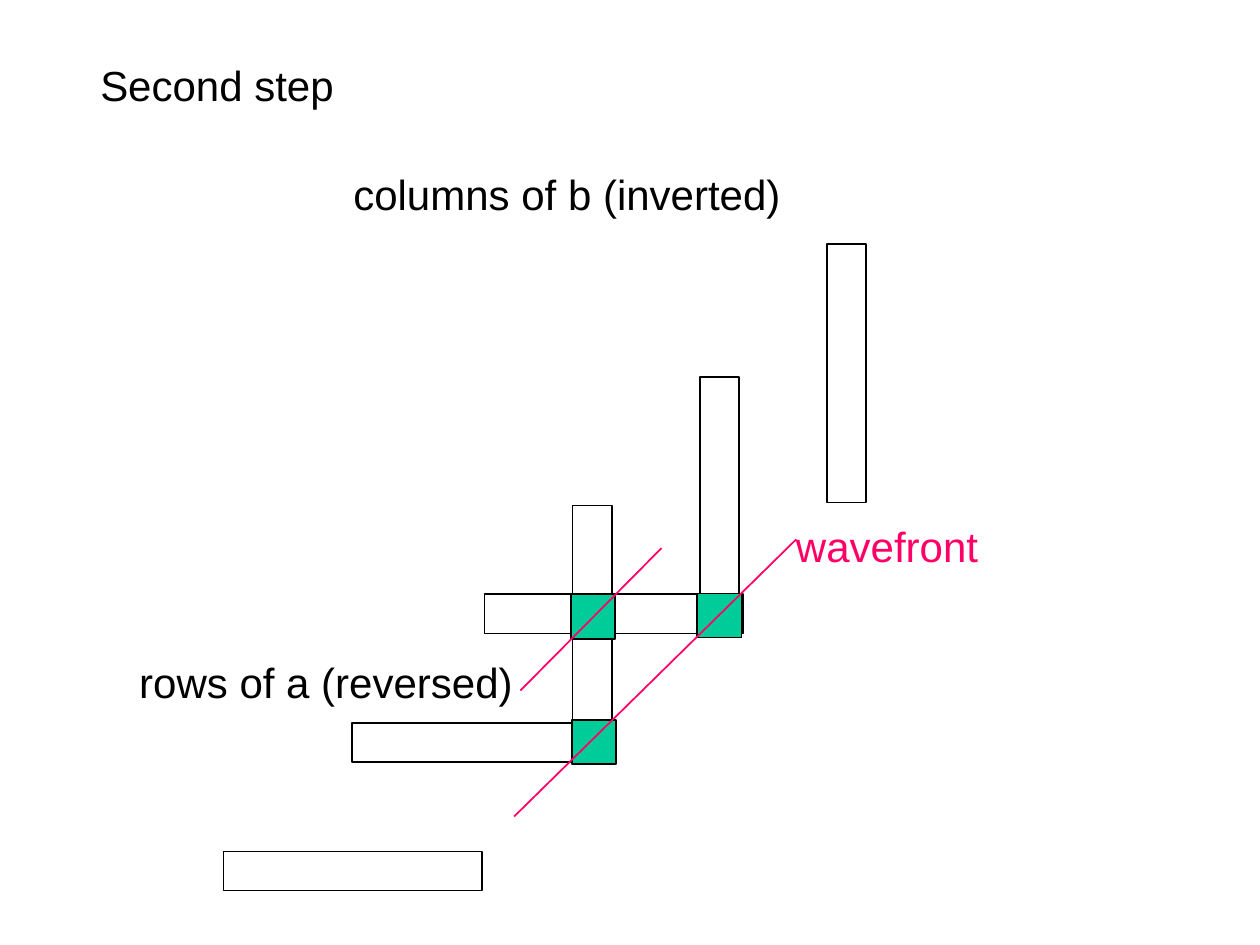
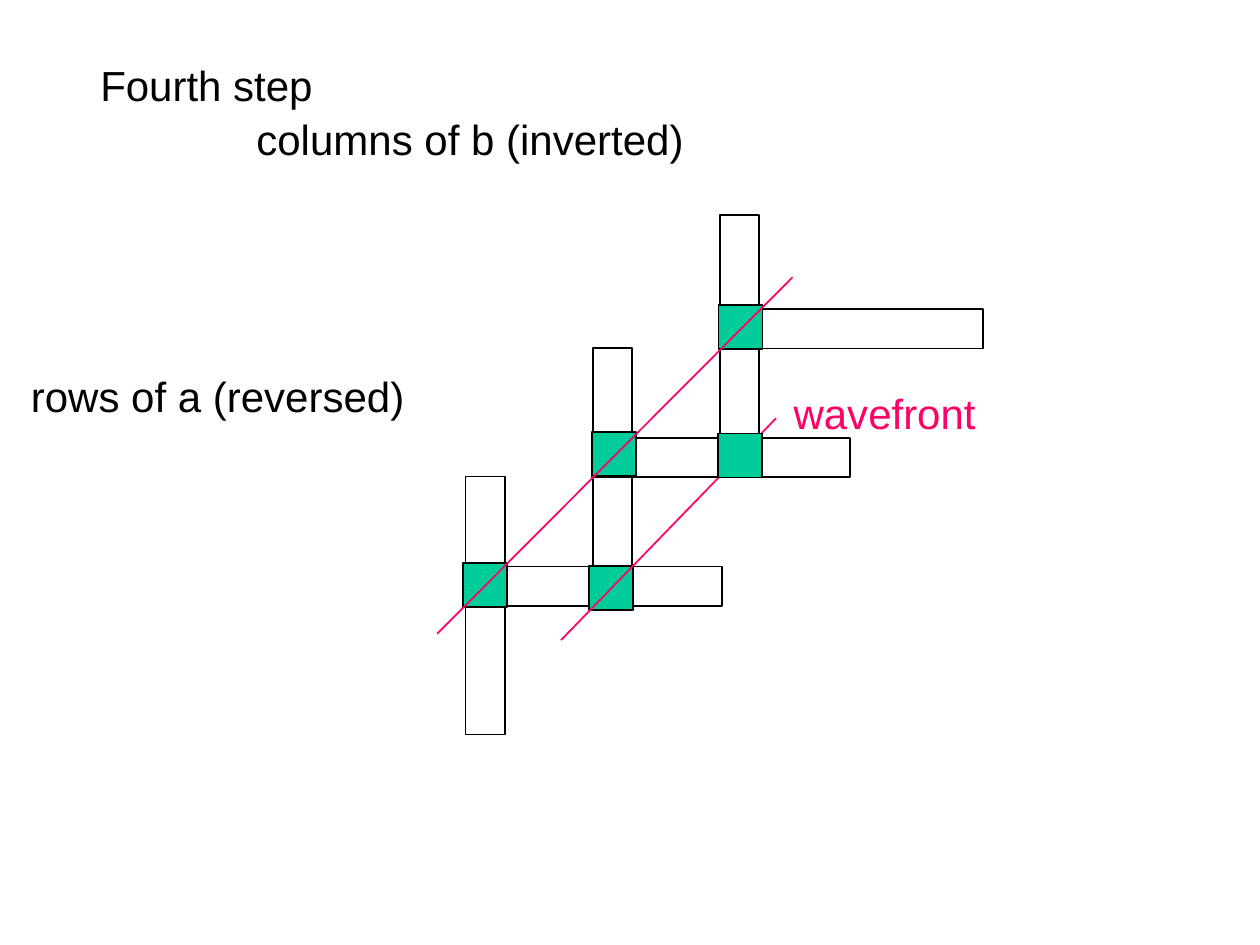
"""Builds two slides showing wavefront steps of a systolic matrix product."""
from pptx import Presentation
from pptx.dml.color import RGBColor
from pptx.enum.shapes import MSO_CONNECTOR as CONN, MSO_SHAPE as SHAPE
from pptx.enum.text import MSO_AUTO_SIZE as AUTO
from pptx.oxml.ns import qn
from pptx.util import Pt
from lxml import etree

BLACK = RGBColor(0x00, 0x00, 0x00)
GREEN = RGBColor(0x00, 0xCC, 0x99)
PINK = RGBColor(0xFF, 0x00, 0x66)
FONT = "Arial"

BAR_LENGTH, BAR_WIDTH, CELL = 147.6, 22.4, 25.2
ROW_STEPS = [(0, 0), (-75.8, 73.5), (-149.2, 147)]
COLUMN_STEPS = [(0, 0), (-72.7, 76), (-145.4, 149.2)]
TITLE_AT = (50.2, 30.6)
LABEL_HEIGHT = 36

STEPS = [
    dict(
        title=("Second step", 156),
        rows_label=(72.5, 371.5), columns_label=(194.8, 92.6),
        wavefront_label=(447.8, 293.8),
        first_row=(276.9, 339.6), first_column=(472.6, 139.6),
        cells=[(326.2, 339.8), (398.5, 339.1), (326.9, 411.4)],
        wavefronts=[(297.4, 394.6, 378, 313.2), (293.8, 466.6, 455, 308.2)],
        top_cells=[],
    ),
    dict(
        title=("Fourth step", 145),
        rows_label=(10.6, 208.1), columns_label=(139.4, 61.2),
        wavefront_label=(446.4, 217.8),
        first_row=(414, 176.8), first_column=(411.5, 123),
        cells=[(336.6, 323.3), (410.6, 174.2), (338.4, 247), (264.4, 321.8)],
        wavefronts=[(249.8, 362.2, 452.9, 158.4), (320.6, 365.8, 443.5, 239)],
        top_cells=[(410.2, 247.7)],
    ),
]


def add_label(s, text, at, width, color=BLACK):
    tb = s.shapes.add_textbox(*map(Pt, (*at, width, LABEL_HEIGHT)))
    tf = tb.text_frame
    tf.word_wrap = False
    tf.auto_size = AUTO.SHAPE_TO_FIT_TEXT
    p = tf.paragraphs[0]
    p.text = text
    p.font.name, p.font.size = FONT, Pt(24)
    p.font.color.rgb = color


def add_rect(shapes, x, y, width, height, fill=None):
    sp = shapes.add_shape(SHAPE.RECTANGLE, Pt(x), Pt(y), Pt(width), Pt(height))
    sp.shadow.inherit = False
    if fill is None:
        sp.fill.background()
    else:
        sp.fill.solid()
        sp.fill.fore_color.rgb = fill
    sp.line.color.rgb = BLACK
    sp.line.width = Pt(1)


def add_bars(s, first, steps, width, height):
    group = s.shapes.add_group_shape()
    for dx, dy in steps:
        add_rect(group.shapes, first[0] + dx, first[1] + dy, width, height)


def add_cells(s, corners):
    for x, y in corners:
        add_rect(s.shapes, x, y, CELL, CELL, GREEN)


def add_wavefront(s, ends):
    line = s.shapes.add_connector(CONN.STRAIGHT, *map(Pt, ends))
    line.line.color.rgb = PINK
    line.line.width = Pt(1)
    etree.SubElement(line._element.spPr, qn("a:effectLst"))


def add_step(prs, step):
    s = prs.slides.add_slide(prs.slide_layouts[6])
    title, title_width = step["title"]
    add_bars(s, step["first_row"], ROW_STEPS, BAR_LENGTH, BAR_WIDTH)
    add_label(s, "rows of a (reversed)", step["rows_label"], 236)
    add_label(s, "columns of b (inverted)", step["columns_label"], 267)
    add_label(s, title, TITLE_AT, title_width)
    add_bars(s, step["first_column"], COLUMN_STEPS, BAR_WIDTH, BAR_LENGTH)
    add_cells(s, step["cells"])
    for ends in step["wavefronts"]:
        add_wavefront(s, ends)
    add_label(s, "wavefront", step["wavefront_label"], 122, PINK)
    add_cells(s, step["top_cells"])


def main():
    prs = Presentation()
    prs.slide_width, prs.slide_height = Pt(720), Pt(540)
    for step in STEPS:
        add_step(prs, step)
    prs.save("out.pptx")


if __name__ == "__main__":
    main()
